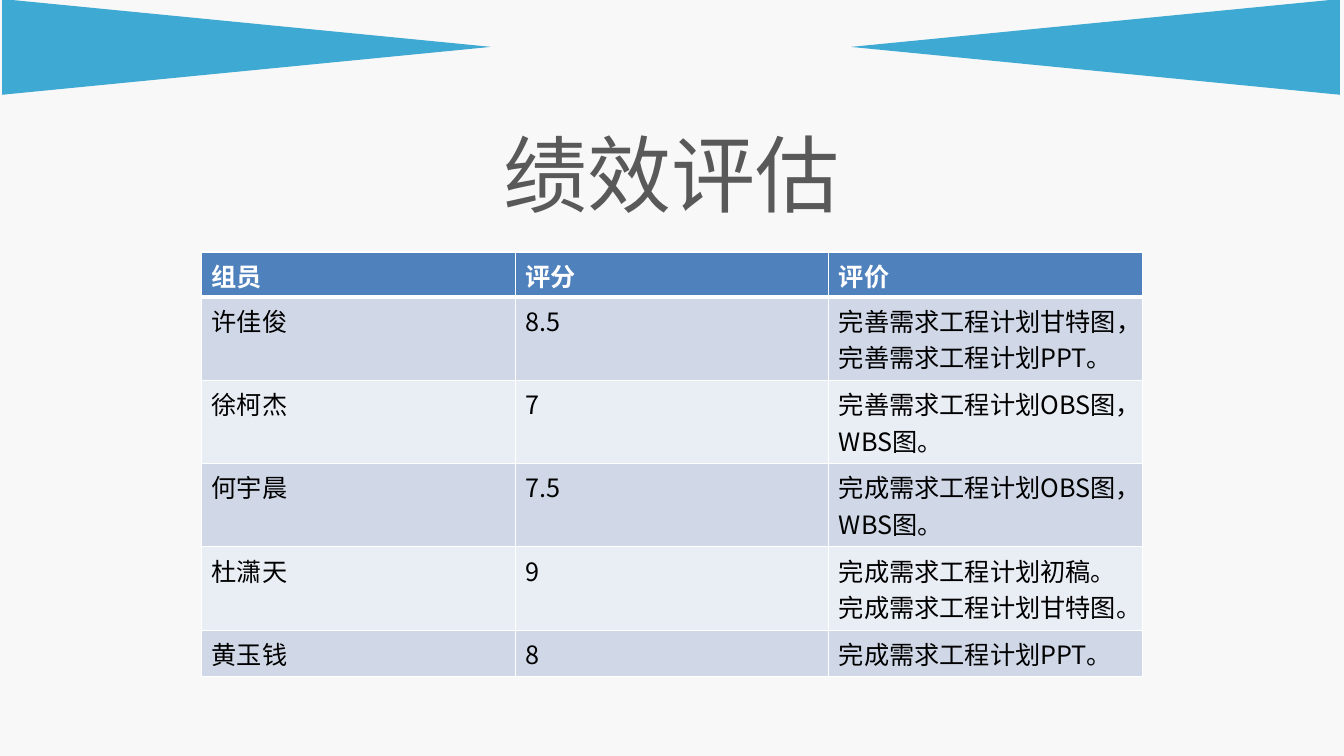
from lxml import etree
from pptx import Presentation
from pptx.dml.color import RGBColor
from pptx.enum.shapes import MSO_SHAPE
from pptx.enum.text import MSO_ANCHOR, PP_ALIGN
from pptx.oxml.ns import qn
from pptx.util import Inches, Pt

TRIANGLE = MSO_SHAPE.ISOSCELES_TRIANGLE
MIDDLE = MSO_ANCHOR.MIDDLE
LEFT, CENTER = PP_ALIGN.LEFT, PP_ALIGN.CENTER

SLIDE_W, SLIDE_H = 13.33, 7.5
FONT = "Noto Sans CJK SC"
COLORS = {
    "background": "F8F8F8",
    "wedge": "3EA9D3",
    "title": "595959",
    "header": "4F81BD",
    "odd_row": "D0D8E8",
    "even_row": "E9EDF4",
    "border": "FFFFFF",
    "header_text": "FFFFFF",
    "body_text": "000000",
}
REVIEWS = [
    ("组员", "评分", "评价"),
    ("许佳俊", "8.5", "完善需求工程计划甘特图，完善需求工程计划PPT。"),
    ("徐柯杰", "7", "完善需求工程计划OBS图，WBS图。"),
    ("何宇晨", "7.5", "完成需求工程计划OBS图，WBS图。"),
    ("杜潇天", "9", "完成需求工程计划初稿。完成需求工程计划甘特图。"),
    ("黄玉钱", "8", "完成需求工程计划PPT。"),
]
# Shares of the table height: a header, four two-line rows, a one-line row
ROW_SHARES = [0.45] + [0.83] * 4 + [0.46]


def paint(fill, color):
    fill.solid()
    fill.fore_color.rgb = RGBColor.from_string(COLORS[color])


def write(frame, text, size=18, color="body_text", bold=False, align=LEFT):
    frame.word_wrap = True
    paragraph = frame.paragraphs[0]
    paragraph.alignment = align
    run = paragraph.add_run()
    run.text = text
    run.font.size = Pt(size)
    run.font.bold = bold
    run.font.name = FONT
    run.font.color.rgb = RGBColor.from_string(COLORS[color])
    east_asian = etree.SubElement(run.font._element, qn("a:ea"))
    east_asian.set("typeface", FONT)


def add_wedge(slide, left, top, width, height, rotation):
    """Fill the box with a triangle turned a quarter, so its sides swap."""
    wedge = slide.shapes.add_shape(
        TRIANGLE,
        Inches(left + (width - height) / 2), Inches(top + (height - width) / 2),
        Inches(height), Inches(width))
    wedge.rotation = rotation
    wedge.shadow.inherit = False
    paint(wedge.fill, "wedge")
    wedge.line.fill.background()


def add_banner(slide, left, top, width, height):
    wedge_width = 4.85
    add_wedge(slide, left, top, wedge_width, height, 90)
    add_wedge(slide, left + width - wedge_width, top, wedge_width, height, 270)


def add_title(slide, left, top, width, height):
    title = slide.shapes.add_textbox(
        Inches(left), Inches(top), Inches(width), Inches(height))
    title.text_frame.vertical_anchor = MIDDLE
    write(title.text_frame, "绩效评估", size=60, color="title", align=CENTER)


def set_borders(cell, **widths):
    properties = cell._tc.get_or_add_tcPr()
    for side in "LRTB":
        line = etree.SubElement(properties, qn(f"a:ln{side}"))
        line.set("w", str(Pt(widths.get(side, 1))))
        fill = etree.SubElement(line, qn("a:solidFill"))
        etree.SubElement(fill, qn("a:srgbClr")).set("val", COLORS["border"])


def add_review_table(slide, left, top, width, height):
    rows, columns = len(REVIEWS), len(REVIEWS[0])
    table = slide.shapes.add_table(
        rows, columns,
        Inches(left), Inches(top), Inches(width), Inches(height)).table
    for row, review in enumerate(REVIEWS):
        table.rows[row].height = Inches(height * ROW_SHARES[row] / sum(ROW_SHARES))
        is_header = row == 0
        band = "header" if is_header else "odd_row" if row % 2 else "even_row"
        for column, text in enumerate(review):
            cell = table.cell(row, column)
            set_borders(cell, T=3 if row == 1 else 1, B=3 if is_header else 1)
            paint(cell.fill, band)
            write(cell.text_frame, text, bold=is_header,
                  color="header_text" if is_header else "body_text")


def main():
    deck = Presentation()
    deck.slide_width, deck.slide_height = Inches(SLIDE_W), Inches(SLIDE_H)
    slide = deck.slides.add_slide(deck.slide_layouts[6])
    paint(slide.background.fill, "background")
    add_banner(slide, 0.02, -0.01, 13.27, 0.95)
    add_title(slide, 3.85, 1.16, 5.62, 1.11)
    add_review_table(slide, 2, SLIDE_H / 3, SLIDE_W * 0.7, 4.21)
    deck.save("out.pptx")


if __name__ == "__main__":
    main()
